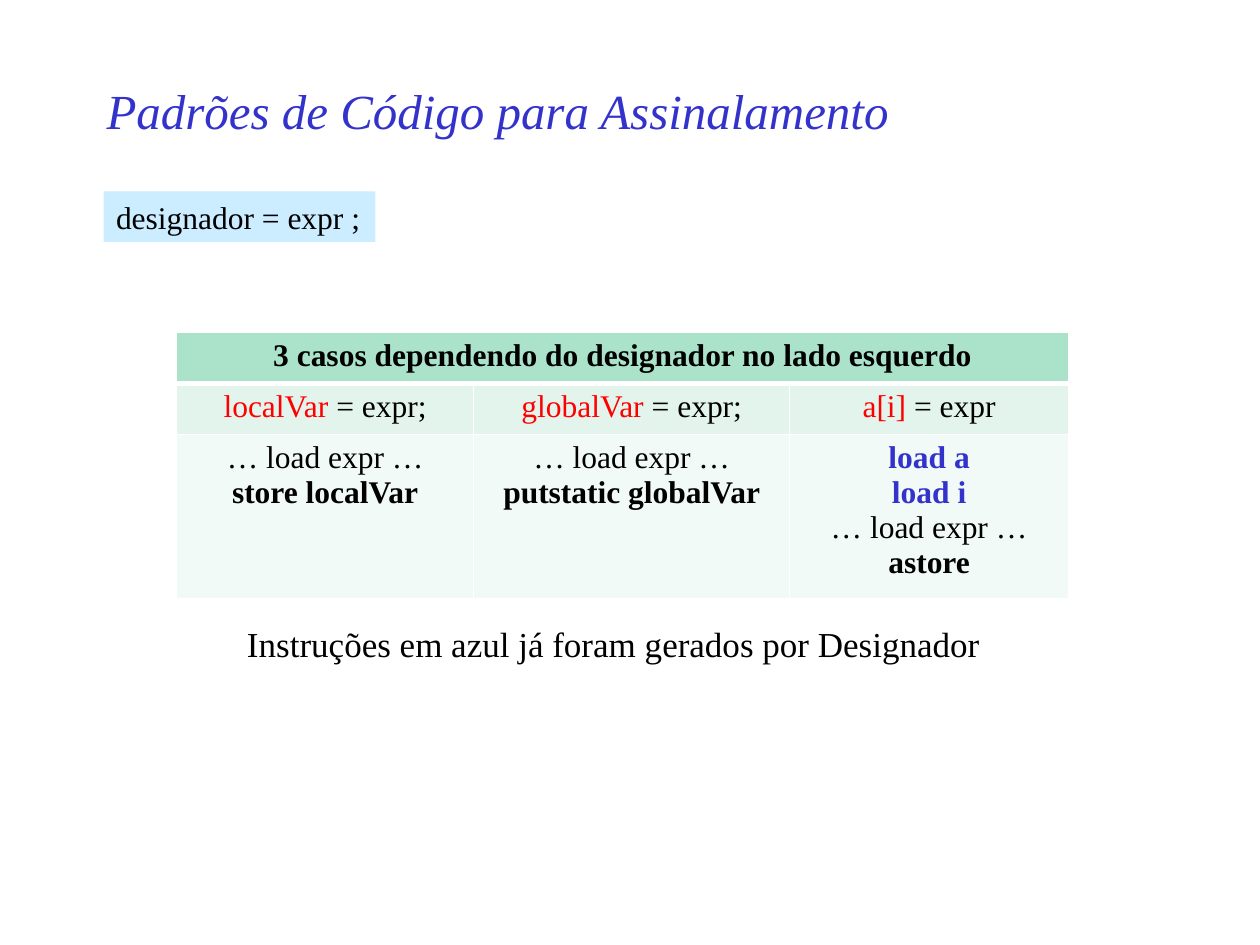
from dataclasses import dataclass

import lxml.etree
import pptx
import pptx.dml.color
import pptx.enum.text
import pptx.oxml.ns
import pptx.util

Cm = pptx.util.Cm
Pt = pptx.util.Pt
RGBColor = pptx.dml.color.RGBColor
Align = pptx.enum.text.PP_ALIGN
Anchor = pptx.enum.text.MSO_ANCHOR

BLACK = RGBColor(0x00, 0x00, 0x00)
WHITE = RGBColor(0xFF, 0xFF, 0xFF)
BLUE = RGBColor(0x33, 0x33, 0xCC)
RED = RGBColor(0xFF, 0x00, 0x00)
PALE_BLUE = RGBColor(0xCC, 0xEC, 0xFF)
HEADER_GREEN = RGBColor(0xAA, 0xE2, 0xCA)
CASE_GREEN = RGBColor(0xE2, 0xF4, 0xEC)
CODE_GREEN = RGBColor(0xF1, 0xFA, 0xF6)
FONT = "Times New Roman"


@dataclass(frozen=True)
class Span:
    text: str
    color: RGBColor = BLACK
    bold: bool = False
    italic: bool = False
    size: float = 18


@dataclass(frozen=True)
class Label:
    span: Span
    left: float
    top: float
    width: float
    height: float
    anchor: Anchor = Anchor.TOP
    fill: RGBColor | None = None


@dataclass(frozen=True)
class Row:
    height: float
    fill: RGBColor
    cells: list[list[list[Span]]]
    bottom_border: float = 1


LOAD_EXPR = [Span("… load expr …")]
LABELS = [
    Label(Span("Padrões de Código para Assinalamento", BLUE, italic=True, size=28),
          1.9, 1.27, 19.05, 1.9, Anchor.MIDDLE),
    Label(Span("designador = expr ;"), 2.09, 3.86, 5.48, 1.02, fill=PALE_BLUE),
    Label(Span("Instruções em azul já foram gerados por Designador", size=20),
          4.73, 12.42, 15.44, 1.11),
]
COLUMN_WIDTHS = [5.99, 6.37, 5.62]
ROWS = [
    Row(1.03, HEADER_GREEN,
        [[[Span("3 casos dependendo do designador no lado esquerdo", bold=True)]]], 3),
    Row(1.03, CASE_GREEN, [
        [[Span("localVar", RED), Span(" = expr;")]],
        [[Span("globalVar ", RED), Span("= expr;")]],
        [[Span("a[i]", RED), Span(" = expr")]],
    ]),
    Row(3.3, CODE_GREEN, [
        [LOAD_EXPR, [Span("store localVar", bold=True)]],
        [LOAD_EXPR, [Span("putstatic globalVar", bold=True)]],
        [[Span("load a", BLUE, True)], [Span("load i", BLUE, True)],
         LOAD_EXPR, [Span("astore", bold=True)]],
    ]),
]


def write_lines(frame, lines: list[list[Span]], alignment: Align) -> None:
    frame.text = "\n".join("" for _ in lines)
    for para, spans in zip(frame.paragraphs, lines):
        para.alignment = alignment
        for span in spans:
            run = para.add_run()
            run.text = span.text
            run.font.name = FONT
            run.font.size = Pt(span.size)
            run.font.bold = span.bold
            run.font.italic = span.italic
            run.font.color.rgb = span.color


def add_label(page, label: Label) -> None:
    box = page.shapes.add_textbox(
        Cm(label.left), Cm(label.top), Cm(label.width), Cm(label.height))
    box.text_frame.word_wrap = label.anchor == Anchor.MIDDLE
    box.text_frame.vertical_anchor = label.anchor
    if label.fill is not None:
        box.fill.solid()
        box.fill.fore_color.rgb = label.fill
    write_lines(box.text_frame, [[label.span]], Align.LEFT)


def set_borders(cell, top: float, bottom: float) -> None:
    qn = pptx.oxml.ns.qn
    properties = cell._tc.get_or_add_tcPr()
    for side, width in (("L", 1), ("R", 1), ("T", top), ("B", bottom)):
        line = lxml.etree.SubElement(properties, qn(f"a:ln{side}"), w=str(Pt(width)))
        fill = lxml.etree.SubElement(line, qn("a:solidFill"))
        lxml.etree.SubElement(fill, qn("a:srgbClr"), val=str(WHITE))


def add_cases_table(page, left: float, top: float) -> None:
    table = page.shapes.add_table(
        len(ROWS), len(COLUMN_WIDTHS), Cm(left), Cm(top),
        Cm(sum(COLUMN_WIDTHS)), Cm(sum(row.height for row in ROWS))).table
    for column, width in zip(table.columns, COLUMN_WIDTHS):
        column.width = Cm(width)
    top_border = 1
    for row_index, row in enumerate(ROWS):
        table.rows[row_index].height = Cm(row.height)
        for cell in table.rows[row_index].cells:
            set_borders(cell, top_border, row.bottom_border)
            cell.fill.solid()
            cell.fill.fore_color.rgb = row.fill
        for column_index, lines in enumerate(row.cells):
            write_lines(table.cell(row_index, column_index).text_frame, lines, Align.CENTER)
        top_border = row.bottom_border
    table.cell(0, 0).merge(table.cell(0, len(COLUMN_WIDTHS) - 1))


deck = pptx.Presentation()
deck.slide_width = Cm(25.4)
deck.slide_height = Cm(19.05)
page = deck.slides.add_slide(deck.slide_layouts[6])
for label in LABELS:
    add_label(page, label)
add_cases_table(page, 3.56, 6.7)
deck.save("out.pptx")
